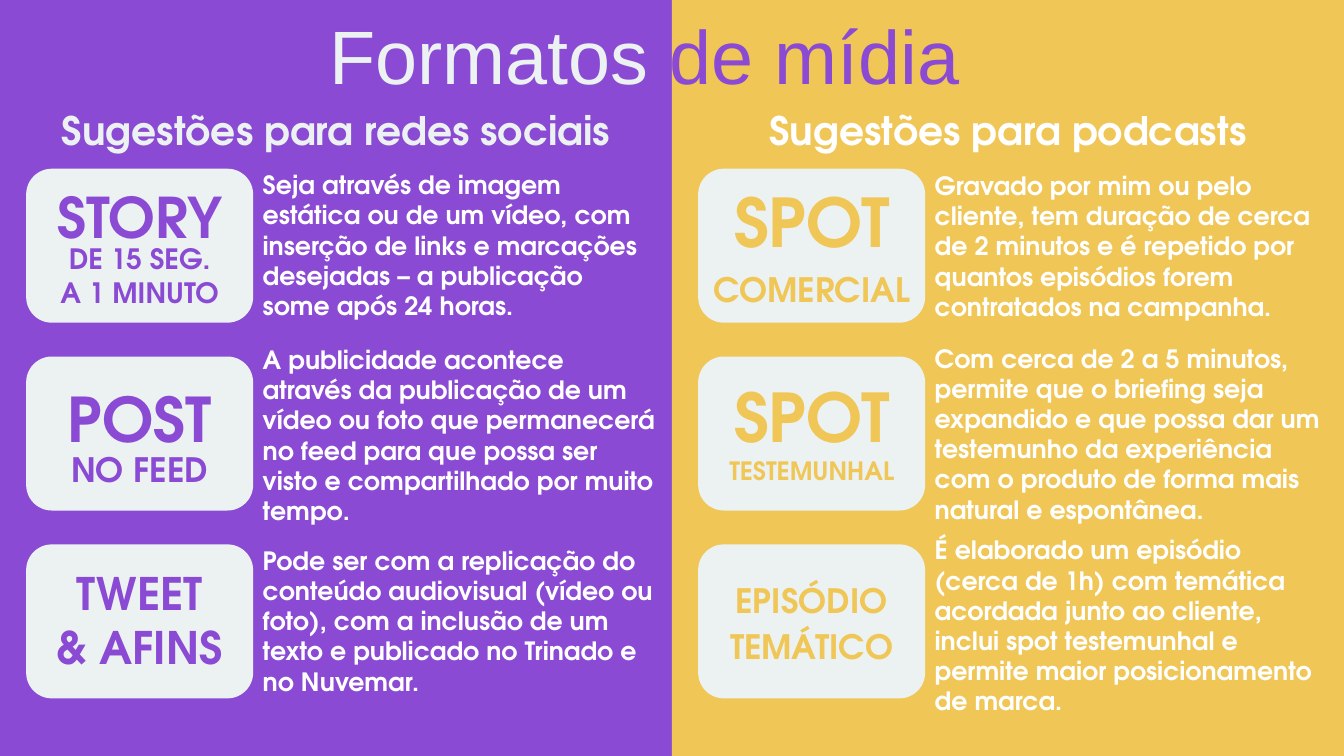
from pptx import Presentation
from pptx import util as u
from pptx.dml import color
from pptx.enum import shapes, text

PURPLE = "8B4AD4"
YELLOW = "F0C656"
PALE = "EBF2F1"
WHITE = "FFFFFF"
HALF_WIDTH = 720
HEIGHT = 810
CARD_LEFT, CARD_TOP, CARD_WIDTH, CARD_HEIGHT = 28, 180.75, 243.25, 165
CARD_PITCH = 201.25
COPY_LEFT, COPY_WIDTH = 281.5, 420.5


def rgb(value):
    return color.RGBColor.from_string(value)


class Sheet:
    title_font = "Arial"
    body_font = "TeX Gyre Adventor"
    leading = 1.2

    def __init__(self, page):
        self.page = page

    def background(self, fill):
        self.page.background.fill.solid()
        self.page.background.fill.fore_color.rgb = rgb(fill)

    def block(self, kind, left, top, width, height, fill):
        shape = self.page.shapes.add_shape(
            kind, u.Pt(left), u.Pt(top), u.Pt(width), u.Pt(height))
        shape.shadow.inherit = False
        shape.fill.solid()
        shape.fill.fore_color.rgb = rgb(fill)
        shape.line.fill.background()
        return shape

    def panel(self, left, width, fill):
        shape = self.block(shapes.MSO_SHAPE.RECTANGLE, left, 0, width, HEIGHT, fill)
        self.page.shapes.title.element.addprevious(shape.element)

    def card(self, left, top):
        self.block(shapes.MSO_SHAPE.ROUNDED_RECTANGLE,
                   left, top, CARD_WIDTH, CARD_HEIGHT, PALE)

    def frame(self, box, anchor):
        frame = box.text_frame
        frame.word_wrap = True
        frame.auto_size = text.MSO_AUTO_SIZE.NONE
        frame.vertical_anchor = anchor
        frame.margin_left = frame.margin_right = 0
        frame.margin_top = frame.margin_bottom = 0
        return frame

    def line(self, para, spans, size, font, bold, align):
        para.alignment = align
        para.line_spacing = u.Pt(round(size * self.leading, 1))
        para.space_before = u.Pt(0)
        for words, ink in spans:
            span = para.add_run()
            span.text = words
            span.font.size = u.Pt(size)
            span.font.name = font
            span.font.bold = bold
            span.font.color.rgb = rgb(ink)

    def title(self, left, top, width, height, spans, size):
        box = self.page.shapes.title
        box.left, box.top = u.Pt(left), u.Pt(top)
        box.width, box.height = u.Pt(width), u.Pt(height)
        frame = self.frame(box, text.MSO_ANCHOR.TOP)
        self.line(frame.paragraphs[0], spans, size, self.title_font,
                  False, text.PP_ALIGN.CENTER)

    def label(self, left, top, width, height, lines, size, ink,
              align=text.PP_ALIGN.CENTER, anchor=text.MSO_ANCHOR.TOP):
        box = self.page.shapes.add_textbox(
            u.Pt(left), u.Pt(top), u.Pt(width), u.Pt(height))
        frame = self.frame(box, anchor)
        for index, words in enumerate(lines):
            para = frame.add_paragraph() if index else frame.paragraphs[0]
            self.line(para, [(words, ink)], size, self.body_font, True, align)

    def copy(self, left, top, height, words):
        self.label(left, top, COPY_WIDTH, height, [words], 27, WHITE,
                   text.PP_ALIGN.LEFT, text.MSO_ANCHOR.MIDDLE)


COLUMNS = [
    ("Sugestões para redes sociais", PALE, PURPLE, [
        ([(196, 83.5, 60, ["STORY"]),
          (259, 83.5, 30, ["DE 15 SEG.", "A 1 MINUTO"])],
         (191.5, 142,
          "Seja através de imagem estática ou de um vídeo, com inserção de "
          "links e marcações desejadas – a publicação some após 24 horas.")),
        ([(408, 91, 66, ["POST"]),
          (481.5, 55, 36, ["NO FEED"])],
         (379, 174,
          "A publicidade acontece através da publicação de um vídeo ou foto "
          "que permanecerá no feed para que possa ser visto e compartilhado "
          "por muito tempo.")),
        ([(606, 127.5, 48, ["TWEET", "& AFINS"])],
         (578, 174,
          "Pode ser com a replicação do conteúdo audiovisual (vídeo ou foto), "
          "com a inclusão de um texto e publicado no Trinado e no Nuvemar.")),
    ]),
    ("Sugestões para podcasts", WHITE, YELLOW, [
        ([(193, 98, 72, ["SPOT"]),
          (288, 55, 36, ["COMERCIAL"])],
         (176.5, 174,
          "Gravado por mim ou pelo cliente, tem duração de cerca de 2 minutos "
          "e é repetido por quantos episódios forem contratados na campanha.")),
        ([(402, 98, 72, ["SPOT"]),
          (488, 44, 27, ["TESTEMUNHAL"])],
         (361, 207,
          "Com cerca de 2 a 5 minutos, permite que o briefing seja expandido "
          "e que possa dar um testemunho da experiência com o produto de "
          "forma mais natural e espontânea.")),
        ([(621.5, 55, 36, ["EPISÓDIO"]),
          (671, 55, 36, ["TEMÁTICO"])],
         (583, 174,
          "É elaborado um episódio (cerca de 1h) com temática acordada junto "
          "ao cliente, inclui spot testemunhal e permite maior posicionamento "
          "de marca.")),
    ]),
]


def main():
    deck = Presentation()
    deck.slide_width, deck.slide_height = u.Pt(2 * HALF_WIDTH), u.Pt(HEIGHT)
    sheet = Sheet(deck.slides.add_slide(deck.slide_layouts[5]))
    sheet.background(PURPLE)
    sheet.panel(HALF_WIDTH, HALF_WIDTH, YELLOW)
    sheet.title(281.5, 10, 818.5, 203,
                [("Formatos ", PALE), ("de mídia", PURPLE)], 81)

    for column, (heading, heading_ink, ink, formats) in enumerate(COLUMNS):
        left = column * HALF_WIDTH
        sheet.label(left, 114, HALF_WIDTH, 62, [heading], 42, heading_ink)
        for row, (labels, description) in enumerate(formats):
            sheet.card(left + CARD_LEFT, CARD_TOP + row * CARD_PITCH)
            for top, height, size, lines in labels:
                sheet.label(left + CARD_LEFT, top, CARD_WIDTH, height,
                            lines, size, ink)
            sheet.copy(left + COPY_LEFT, *description)

    deck.save("out.pptx")


if __name__ == "__main__":
    main()
